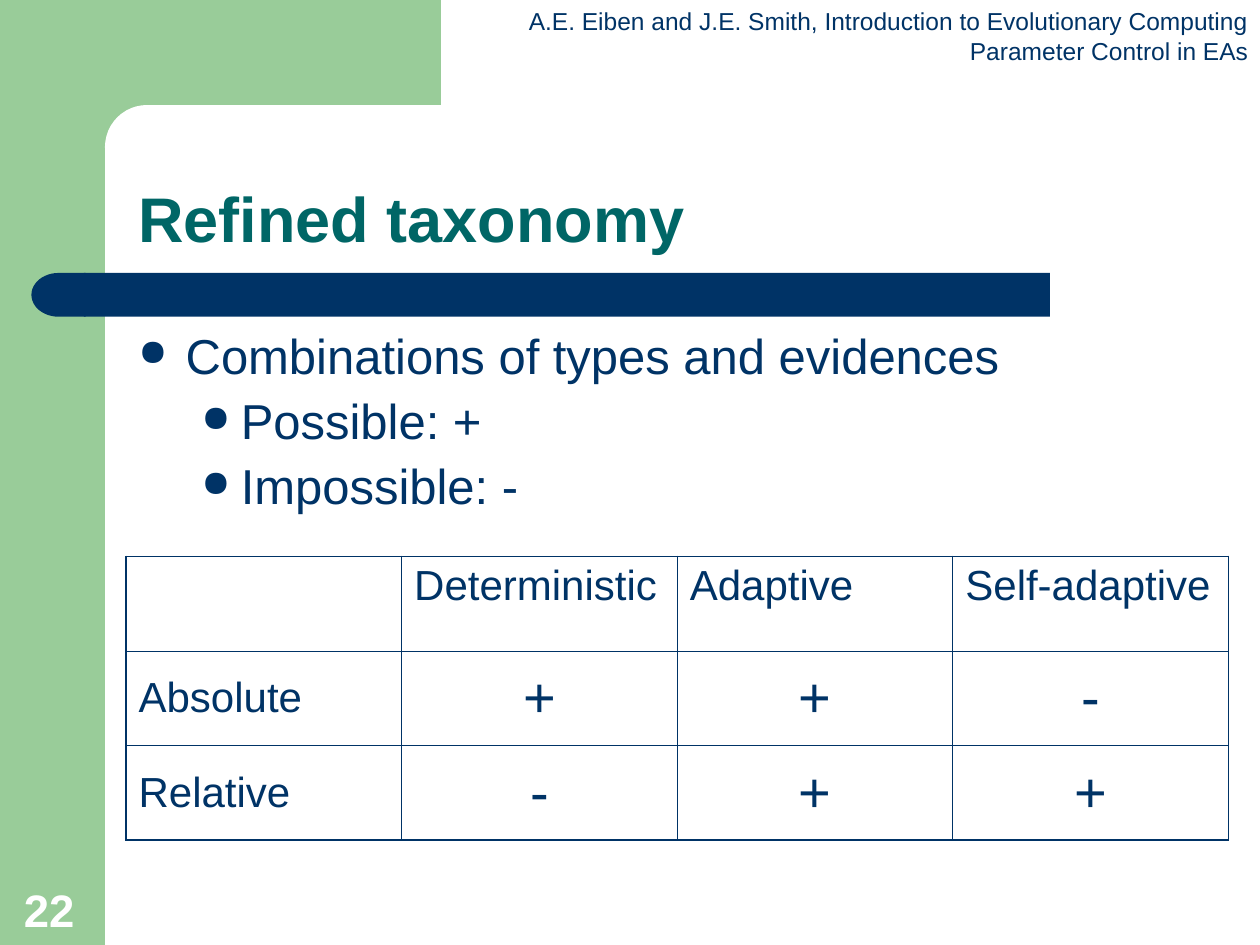
from lxml import etree
from pptx import Presentation
from pptx.dml.color import RGBColor
from pptx.enum import shapes, text
from pptx.oxml import ns
from pptx.util import Pt

NAVY, GREEN, TEAL, WHITE = "003366", "99CC99", "006666", "FFFFFF"
KIND, ALIGN, ANCHOR = shapes.MSO_SHAPE, text.PP_ALIGN, text.MSO_ANCHOR


def color(code):
    return RGBColor.from_string(code)


def style(frame, size, code, bold=False, align=ALIGN.LEFT):
    for para in frame.paragraphs:
        para.alignment = align
        for run in para.runs:
            run.font.name = "Arial"
            run.font.size = Pt(size)
            run.font.bold = bold
            run.font.color.rgb = color(code)


deck = Presentation()
deck.slide_width, deck.slide_height = Pt(720), Pt(540)
slide = deck.slides.add_slide(deck.slide_layouts[6])

# Green frame, white rounded corner and navy bar
parts = [
    (KIND.RECTANGLE, 0, 0, 60, 540, GREEN),
    (KIND.RECTANGLE, 54, 0, 198, 84, GREEN),
    (KIND.ROUNDED_RECTANGLE, 60, 60, 402, 48, WHITE),
    (KIND.RECTANGLE, 48, 156, 552, 25, NAVY),
    (KIND.FLOWCHART_DELAY, 18, 156, 31, 25, NAVY),
]
for kind, left, top, width, height, code in parts:
    part = slide.shapes.add_shape(kind, Pt(left), Pt(top), Pt(width), Pt(height))
    part.shadow.inherit = False
    part.fill.solid()
    part.fill.fore_color.rgb = color(code)
    part.line.fill.background()
    if kind == KIND.ROUNDED_RECTANGLE:
        part.adjustments[0] = 0.5
    if kind == KIND.FLOWCHART_DELAY:
        part._element.spPr.find(ns.qn("a:xfrm")).set("flipH", "1")

# Source line
head = slide.shapes.add_textbox(Pt(295), Pt(0), Pt(425.5), Pt(41)).text_frame
head.word_wrap = False
head.text = ("A.E. Eiben and J.E. Smith, Introduction to Evolutionary Computing\n"
             "Parameter Control in EAs")
style(head, 14, NAVY, align=ALIGN.RIGHT)

# Title
title = slide.shapes.add_textbox(Pt(72), Pt(60), Pt(630), Pt(90)).text_frame
title.word_wrap = True
title.vertical_anchor = ANCHOR.BOTTOM
title.text = "Refined taxonomy"
title.paragraphs[0].line_spacing = 0.9
style(title, 36, TEAL, bold=True)

# Table of combinations
rows = [
    ["", "Deterministic", "Adaptive", "Self-adaptive"],
    ["Absolute", "+", "+", "-"],
    ["Relative", "-", "+", "+"],
]
frame = slide.shapes.add_table(3, 4, Pt(72), Pt(318), Pt(630), Pt(162))
table = frame.table
table.first_row = table.horz_banding = False
for r, row in enumerate(rows):
    for c, word in enumerate(row):
        cell = table.cell(r, c)
        cell.fill.background()
        cell.text = word
        cell.vertical_anchor = ANCHOR.MIDDLE if r else ANCHOR.TOP
        if r and c:
            style(cell.text_frame, 32, NAVY, align=ALIGN.CENTER)
        else:
            style(cell.text_frame, 24, NAVY)
        # Outer edges are thicker than inner ones
        props = cell._tc.get_or_add_tcPr()
        edges = [("L", c == 0), ("R", c == 3), ("T", r == 0), ("B", r == 2)]
        for spot, (side, outer) in enumerate(edges):
            line = etree.Element(ns.qn("a:ln" + side), w=str(Pt(1.08 if outer else 0.45)))
            fill = etree.SubElement(line, ns.qn("a:solidFill"))
            etree.SubElement(fill, ns.qn("a:srgbClr"), val=NAVY)
            props.insert(spot, line)

# Bullets
body = slide.shapes.add_textbox(Pt(72), Pt(186), Pt(630), Pt(144)).text_frame
body.word_wrap = True
body.text = "Combinations of types and evidences\nPossible: +\nImpossible: -"
for i, para in enumerate(body.paragraphs):
    props = para._p.get_or_add_pPr()
    margin, hang = (58.5, 22.5) if i else (27, 27)
    props.set("marL", str(Pt(margin)))
    props.set("indent", str(-Pt(hang)))
    tint = etree.SubElement(props, ns.qn("a:buClr"))
    etree.SubElement(tint, ns.qn("a:srgbClr"), val=NAVY)
    etree.SubElement(props, ns.qn("a:buSzPct"), val="75000")
    etree.SubElement(props, ns.qn("a:buChar"), char="●")
    para.line_spacing = 0.9
    if i:
        para.level = 1
        para.space_before = Pt(7)
style(body, 28, NAVY)

# Slide number
page = slide.shapes.add_textbox(Pt(6.5), Pt(499.5), Pt(46), Pt(39)).text_frame
page.word_wrap = True
page.vertical_anchor = ANCHOR.BOTTOM
page.text = "22"
style(page, 26, WHITE, bold=True)

deck.save("out.pptx")
